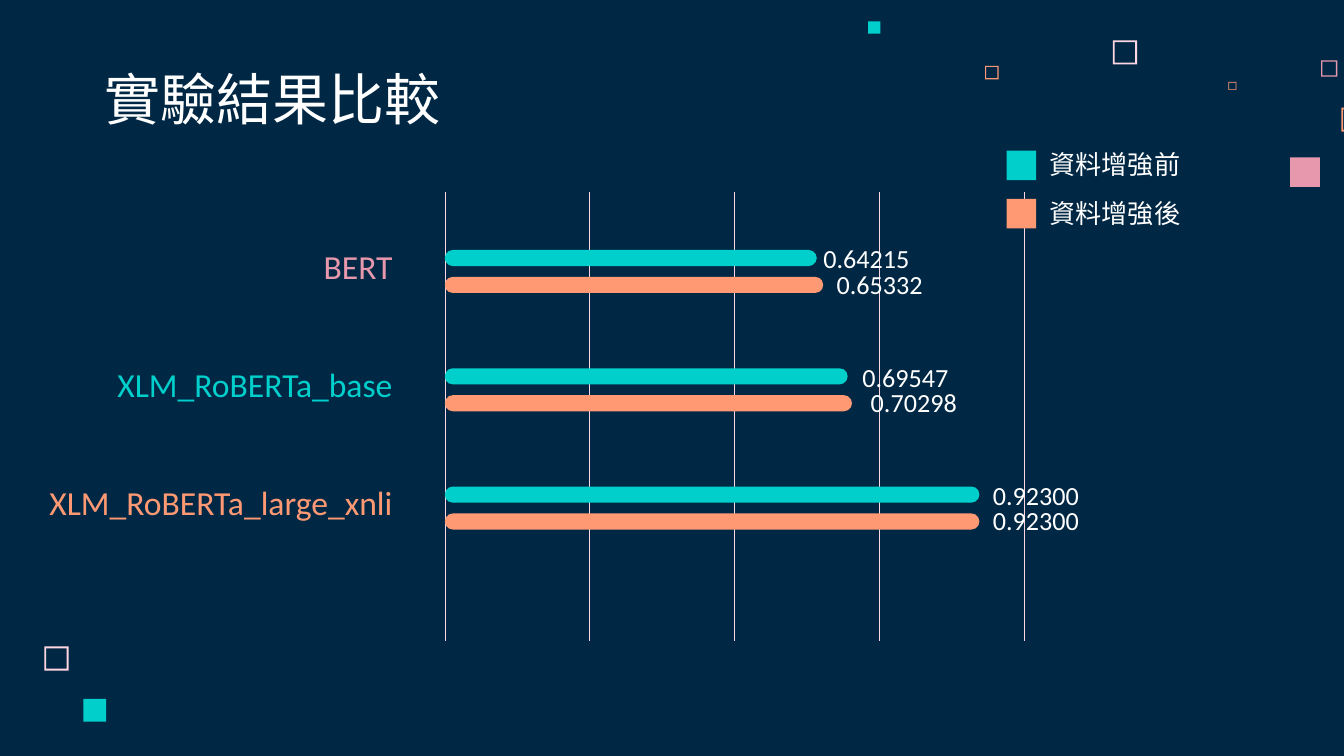
from lxml import etree
from pptx import Presentation, util as u
from pptx.dml.color import RGBColor
from pptx.enum import shapes as s, text as t
from pptx.oxml.ns import qn

NAVY = RGBColor(0x00, 0x28, 0x45)
WHITE = RGBColor(0xFF, 0xFF, 0xFF)
TEAL = RGBColor(0x00, 0xCF, 0xCC)
CORAL = RGBColor(0xFF, 0x99, 0x73)
ROSE = RGBColor(0xE8, 0x98, 0xAC)
BLUSH = RGBColor(0xFF, 0xD6, 0xE1)
FONT = "Calibri"
WIDE = u.Inches(10)
HIGH = WIDE * 9 // 16
CELL = WIDE / 10

FRAMES = [
    (8.28, 0.3, 0.18, BLUSH), (9.83, 0.45, 0.12, ROSE),
    (9.14, 0.61, 0.06, CORAL), (9.98, 0.8, 0.18, CORAL),
    (7.33, 0.49, 0.1, CORAL), (0.33, 4.81, 0.18, BLUSH),
]
BLOCKS = [
    (9.62, 1.19, 0.17, TEAL), (6.46, 0.16, 0.09, TEAL),
    (0.62, 5.2, 0.17, TEAL), (9.6, 1.17, 0.22, ROSE),
]
MODELS = [
    ("BERT", ROSE, [("0.64215", -0.05), ("0.65332", 0)]),
    ("XLM_RoBERTa_base", TEAL, [("0.69547", 0.01), ("0.70298", 0.04)]),
    ("XLM_RoBERTa_large_xnli", CORAL, [("0.92300", 0), ("0.92300", 0)]),
]
SERIES = [("資料增強前", TEAL), ("資料增強後", CORAL)]


def grid(*cells):
    return [u.Emu(round(c * CELL)) for c in cells]


def shape(slide, kind, box, color):
    item = slide.shapes.add_shape(kind, *grid(*box))
    item.shadow.inherit = False
    item.fill.solid()
    item.fill.fore_color.rgb = color
    item.line.fill.background()
    return item


def style(item, words, size, color, align):
    frame = item.text_frame
    frame.word_wrap = True
    frame.auto_size = t.MSO_AUTO_SIZE.NONE
    frame.vertical_anchor = t.MSO_ANCHOR.BOTTOM
    for side in ("left", "top", "right", "bottom"):
        setattr(frame, f"margin_{side}", u.Inches(0.1))
    frame.text = words
    line = frame.paragraphs[0]
    line.alignment = align
    font = line.runs[0].font
    font.name = FONT
    font.size = u.Pt(size)
    font.color.rgb = color


def label(slide, box, words, size, color, align=t.PP_ALIGN.LEFT):
    style(slide.shapes.add_textbox(*grid(*box)), words, size, color, align)


def title(slide, box, words):
    item = slide.shapes.title
    item.left, item.top, item.width, item.height = grid(*box)
    style(item, words, 30, WHITE, t.PP_ALIGN.LEFT)


def decor(slide):
    for x, y, side, color in FRAMES:
        item = shape(slide, s.MSO_SHAPE.FRAME, (x, y, side, side), color)
        item.adjustments[0] = 0.08
    for x, y, side, color in BLOCKS:
        shape(slide, s.MSO_SHAPE.RECTANGLE, (x, y, side, side), color)


def rules(slide, box, count):
    x, y, w, h = box
    for i in range(count + 1):
        left = x + w * i / count
        ends = grid(left, y, left, y + h)
        rule = slide.shapes.add_connector(s.MSO_CONNECTOR.STRAIGHT, *ends)
        rule.line.color.rgb = BLUSH
        rule.line.width = u.Pt(0.25)
        etree.SubElement(rule._element.spPr, qn("a:effectLst"))


def bars(slide, box):
    x, y, w, h = box
    for i, (name, color, scores) in enumerate(MODELS):
        top = y + 0.37 + 0.88 * i
        label(slide, (x - 3.05, top, 2.76, 0.43), name, 18, color, t.PP_ALIGN.RIGHT)
        for j, (score, gap) in enumerate(scores):
            size = w * float(score)
            bar = shape(slide, s.MSO_SHAPE.ROUNDED_RECTANGLE,
                        (x, top + 0.06 + 0.2 * j, size, 0.12), SERIES[j][1])
            bar.adjustments[0] = 0.5
            label(slide, (x + size + gap, top - 0.09 + 0.19 * j, 0.85, 0.43),
                  score, 14, WHITE)


def legend(slide, box):
    x, y, w, h = box
    step = h / len(SERIES)
    for i, (name, color) in enumerate(SERIES):
        top = y + step * i
        shape(slide, s.MSO_SHAPE.RECTANGLE, (x, top, 0.22, 0.22), color)
        label(slide, (x + 0.22, top - 0.11, w - 0.22, 0.43), name, 14, WHITE)


def main():
    deck = Presentation()
    deck.slide_width, deck.slide_height = WIDE, HIGH
    slide = deck.slides.add_slide(deck.slide_layouts[5])
    slide.background.fill.solid()
    slide.background.fill.fore_color.rgb = NAVY
    plot = (3.31, 1.43, 4.31, 3.34)
    decor(slide)
    title(slide, (0.68, 0.45, 5.17, 0.63), "實驗結果比較")
    rules(slide, plot, 4)
    bars(slide, plot)
    legend(slide, (7.49, 1.12, 1.43, 0.72))
    deck.save("out.pptx")


if __name__ == "__main__":
    main()
